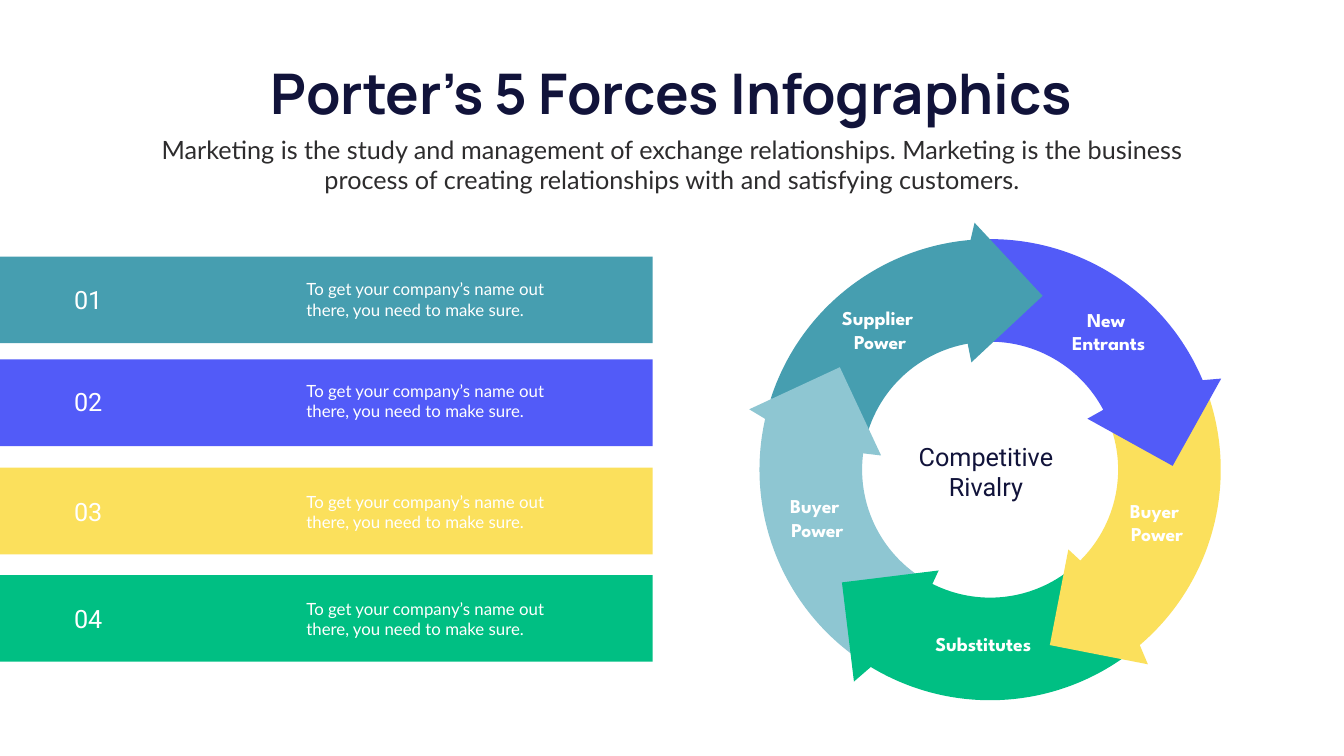
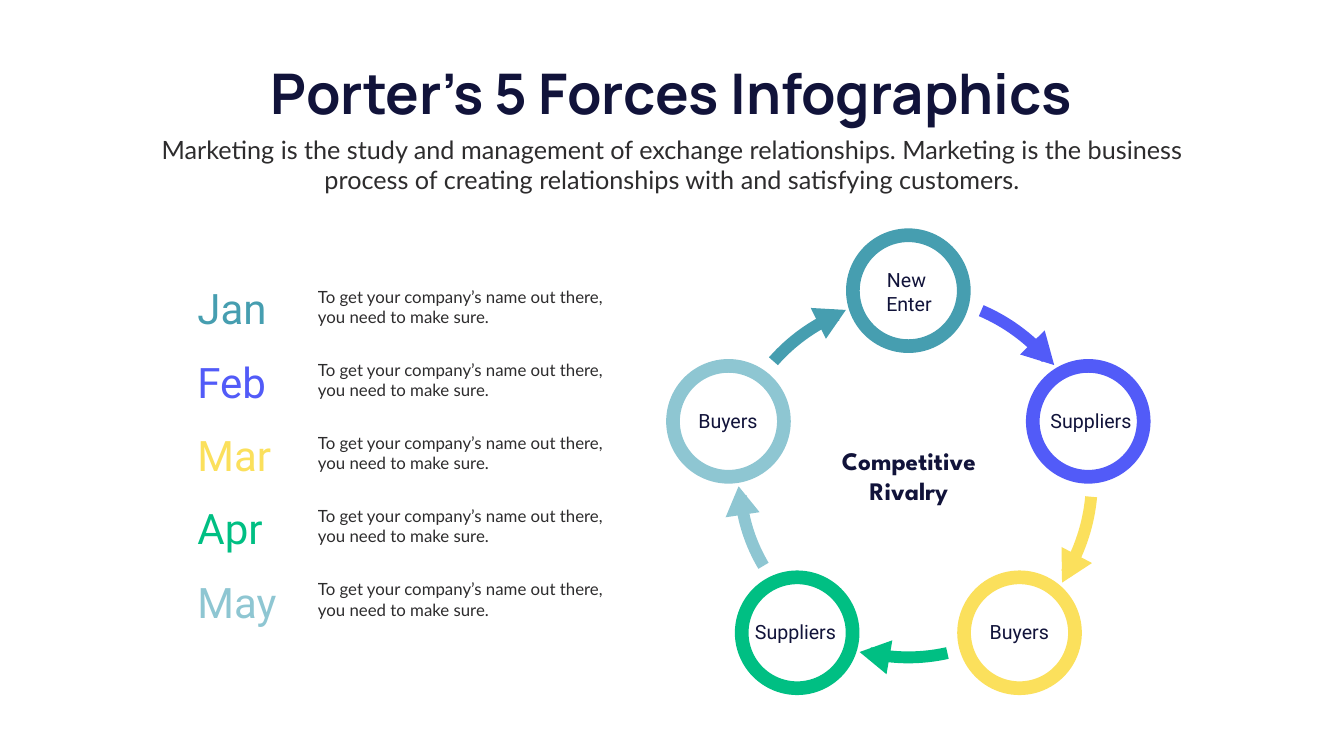
from math import atan, cos, degrees, hypot, radians, sin, tan

from lxml.etree import SubElement
from pptx import Presentation
from pptx.dml.color import RGBColor
from pptx.enum.shapes import MSO_SHAPE
from pptx.enum.text import MSO_ANCHOR, MSO_AUTO_SIZE, PP_ALIGN
from pptx.oxml.ns import qn
from pptx.util import Cm, Pt

NAVY = RGBColor(0x11, 0x13, 0x3A)
CHARCOAL = RGBColor(0x2D, 0x2C, 0x2D)
WHITE = RGBColor(0xFF, 0xFF, 0xFF)
TEAL = RGBColor(0x46, 0x9E, 0xB0)
INDIGO = RGBColor(0x52, 0x5B, 0xF8)
YELLOW = RGBColor(0xFB, 0xE0, 0x5C)
GREEN = RGBColor(0x00, 0xBF, 0x83)
AQUA = RGBColor(0x8E, 0xC6, 0xD2)

TITLE = "Porter's 5 Forces Infographics"
SUBTITLE = (
    "Marketing is the study and management of exchange relationships. "
    "Marketing is the business process of creating relationships with "
    "and satisfying customers."
)
ADVICE = "To get your company’s name out there, you need to make sure."
STEP = 72


def write_text(box, text, font, size, color, bold=False, align=PP_ALIGN.LEFT, wrap=True):
    frame = box.text_frame
    frame.text = text
    frame.word_wrap = wrap
    frame.auto_size = MSO_AUTO_SIZE.SHAPE_TO_FIT_TEXT
    frame.vertical_anchor = MSO_ANCHOR.TOP
    for para in frame.paragraphs:
        para.alignment = align
        for span in para.runs:
            span.font.name = font
            span.font.size = Pt(size)
            span.font.bold = bold
            span.font.color.rgb = color


def add_text(page, left, top, width, height, text, font, size, color, **style):
    box = page.shapes.add_textbox(Cm(left), Cm(top), Cm(width), Cm(height))
    write_text(box, text, font, size, color, **style)
    return box


def add_label(page, left, top, width, height, text, font, size, color, bold=False):
    add_text(page, left, top, width, height, text, font, size, color,
             bold=bold, align=PP_ALIGN.CENTER)


def paint(shape, color):
    shape.shadow.inherit = False
    shape.fill.solid()
    shape.fill.fore_color.rgb = color
    shape.line.fill.background()


def polar(center, radius, angle):
    turn = radians(angle)
    return center[0] + radius * sin(turn), center[1] - radius * cos(turn)


def add_polygon(page, center, corners, color):
    points = [
        tuple(Cm(value) for value in polar(center, radius, angle))
        for radius, angle in corners
    ]
    builder = page.shapes.build_freeform(*points[0])
    builder.add_line_segments(points[1:], close=True)
    shape = builder.convert_to_shape()
    paint(shape, color)
    return shape


def arc_corners(radius, start, sweep):
    pull = 4 / 3 * tan(radians(sweep) / 4)
    reach, lean = radius * hypot(1, pull), degrees(atan(pull))
    return [(radius, start), (reach, start + lean),
            (reach, start + sweep - lean), (radius, start + sweep)]


def bend(lines):
    curve = SubElement(lines[0].getparent(), qn("a:cubicBezTo"))
    lines[0].addprevious(curve)
    for line in lines:
        curve.append(line[0])
        line.getparent().remove(line)


def add_band(page, center, outer, inner, start, sweep, color):
    corners = arc_corners(outer, start, sweep) + arc_corners(inner, start + sweep, -sweep)
    band = add_polygon(page, center, corners, color)
    lines = list(band._element.iter(qn("a:lnTo")))
    bend(lines[:3])
    bend(lines[4:7])


def add_head(page, center, corners, turn, color):
    add_polygon(page, center, [(radius, angle + turn) for radius, angle in corners], color)


def add_page(deck):
    page = deck.slides.add_slide(deck.slide_layouts[5])
    title = page.shapes.title
    title.left, title.top, title.width, title.height = Cm(11.99), Cm(2.84), Cm(43.71), Cm(3.68)
    write_text(title, TITLE, "Manrope", 80, NAVY, bold=True, align=PP_ALIGN.CENTER, wrap=False)
    add_label(page, 7.42, 6.63, 52.88, 3.33, SUBTITLE, "Lato", 36, CHARCOAL)
    return page


def add_bar(page, top, text_top, number, color):
    bar = page.shapes.add_shape(MSO_SHAPE.RECTANGLE, Cm(-0.13), Cm(top), Cm(33.02), Cm(4.37))
    paint(bar, color)
    add_text(page, 15.19, text_top, 14.2, 2.31, ADVICE, "Lato", 24, WHITE)
    add_text(page, 3.48, text_top + 0.25, 8.28, 1.8, number, "Roboto", 36, WHITE)


def add_force_wheel(page):
    center = (49.89, 23.67)
    head = [(9.15, 16.8), (5.49, -9.9), (8.99, -10.4), (12.47, -3.6)]
    wedges = [
        (INDIGO, 0.05, 0),
        (YELLOW, 0, 0.2),
        (GREEN, -0.18, 0.15),
        (AQUA, -0.06, 0.06),
        (TEAL, 0, 0),
    ]
    for index, (color, _, _) in enumerate(wedges):
        add_band(page, center, 11.62, 6.45, index * STEP, STEP, color)
    for index, (color, right, down) in enumerate(wedges, 1):
        add_head(page, (center[0] + right, center[1] + down), head, index * STEP, color)
    add_label(page, 45.54, 22.12, 8.28, 3.33, "Competitive Rivalry", "Roboto", 36, NAVY)
    forces = [
        ("New \nEntrants", 49.91, 15.39, 11.91, 2.64),
        ("Buyer \nPower", 53.77, 25.01, 9.07, 2.64),
        ("Substitutes", 43.59, 31.72, 11.91, 1.45),
        ("Supplier \nPower", 39.9, 15.3, 8.89, 2.64),
        ("Buyer \nPower", 36.65, 24.78, 9.07, 2.64),
    ]
    for text, left, top, width, height in forces:
        add_label(page, left, top, width, height, text, "League Spartan", 28, WHITE, bold=True)


def add_ring(page, center, color):
    radius = 3.14
    ring = page.shapes.add_shape(
        MSO_SHAPE.DONUT, Cm(center[0] - radius), Cm(center[1] - radius),
        Cm(2 * radius), Cm(2 * radius))
    ring.adjustments[0] = 0.11
    paint(ring, color)


def add_ring_cycle(page):
    center = (45.77, 24.18)
    stages = [
        (TEAL, INDIGO, 9.58),
        (INDIGO, YELLOW, 9.55),
        (YELLOW, GREEN, 9.25),
        (GREEN, AQUA, 8.79),
        (AQUA, TEAL, 9.35),
    ]
    for index, (ring_color, arrow_color, radius) in enumerate(stages):
        turn = index * STEP
        head = [(radius - 0.23, 51.8), (radius + 0.61, 42.4), (radius - 1.12, 41.7)]
        add_band(page, center, radius, radius - 0.6, turn + 23.3, 25.3, arrow_color)
        add_head(page, center, head, turn, arrow_color)
        add_ring(page, polar(center, 9.53, turn), ring_color)
    labels = [
        ("New \nEnter", 41.66, 13.39, 2.64),
        ("Buyers", 32.54, 20.47, 1.45),
        ("Suppliers", 50.83, 20.47, 1.45),
        ("Suppliers", 35.94, 31.12, 1.45),
        ("Buyers", 47.22, 31.12, 1.45),
    ]
    for text, left, top, height in labels:
        add_label(page, left, top, 8.28, height, text, "Roboto", 28, NAVY)
    add_label(page, 41.28, 22.3, 9.04, 3.33, "Competitive\nRivalry",
              "League Spartan", 36, NAVY, bold=True)


def add_month(page, row, month, color):
    add_text(page, 15.77, 14.3 + row * 3.69, 16.1, 2.31, ADVICE, "Lato", 24, CHARCOAL)
    box = add_text(page, 9.8, 14.1 + row * 3.7, 5.82, 2.84, month, "Roboto", 60, color)
    frame = box.text_frame
    frame.margin_left = frame.margin_right = Cm(0.15)
    frame.margin_top = frame.margin_bottom = Cm(0.15)


def main():
    deck = Presentation()
    deck.slide_width, deck.slide_height = Cm(67.72), Cm(38.1)

    wheel_page = add_page(deck)
    add_force_wheel(wheel_page)
    bars = [
        (12.93, 13.94, TEAL),
        (18.11, 19.07, INDIGO),
        (23.57, 24.64, YELLOW),
        (28.98, 30.04, GREEN),
    ]
    for number, (top, text_top, color) in enumerate(bars, 1):
        add_bar(wheel_page, top, text_top, f"{number:02d}", color)

    cycle_page = add_page(deck)
    add_ring_cycle(cycle_page)
    months = [("Jan", TEAL), ("Feb", INDIGO), ("Mar", YELLOW), ("Apr", GREEN), ("May", AQUA)]
    for row, (month, color) in enumerate(months):
        add_month(cycle_page, row, month, color)

    deck.save("out.pptx")


if __name__ == "__main__":
    main()
